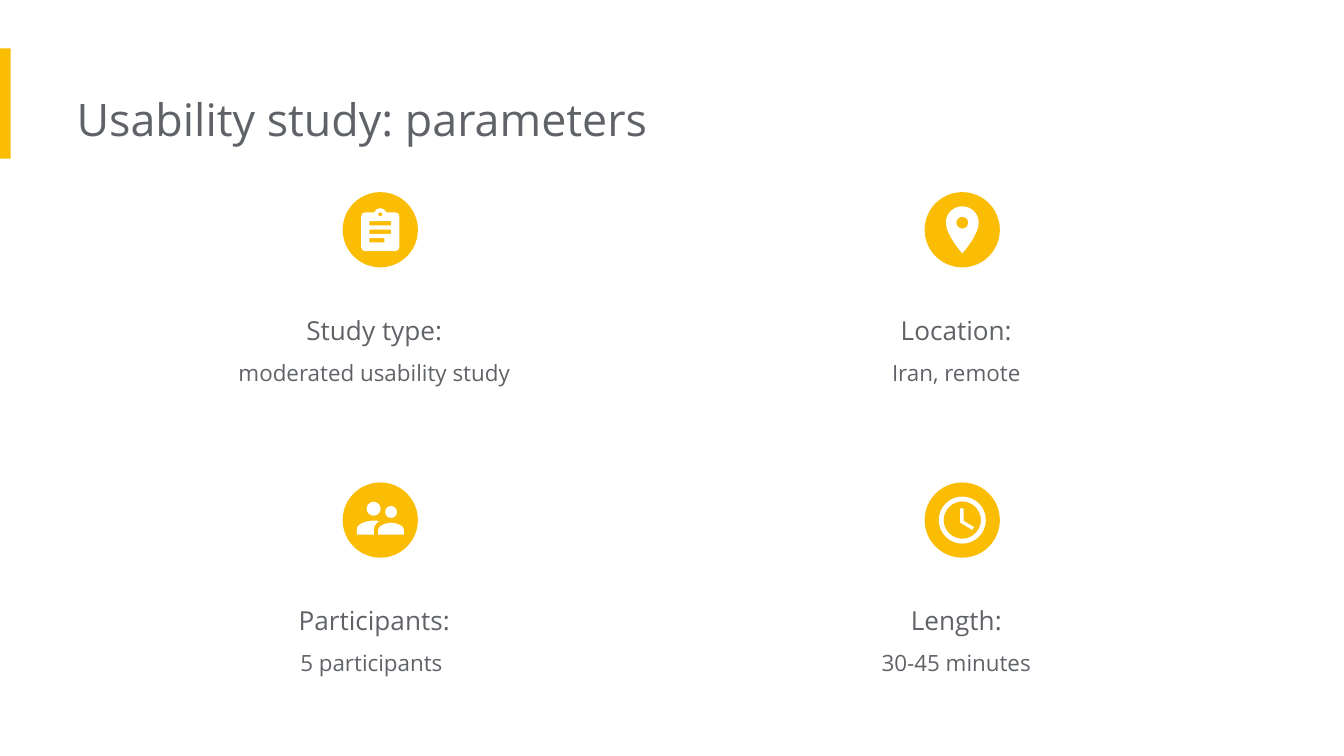
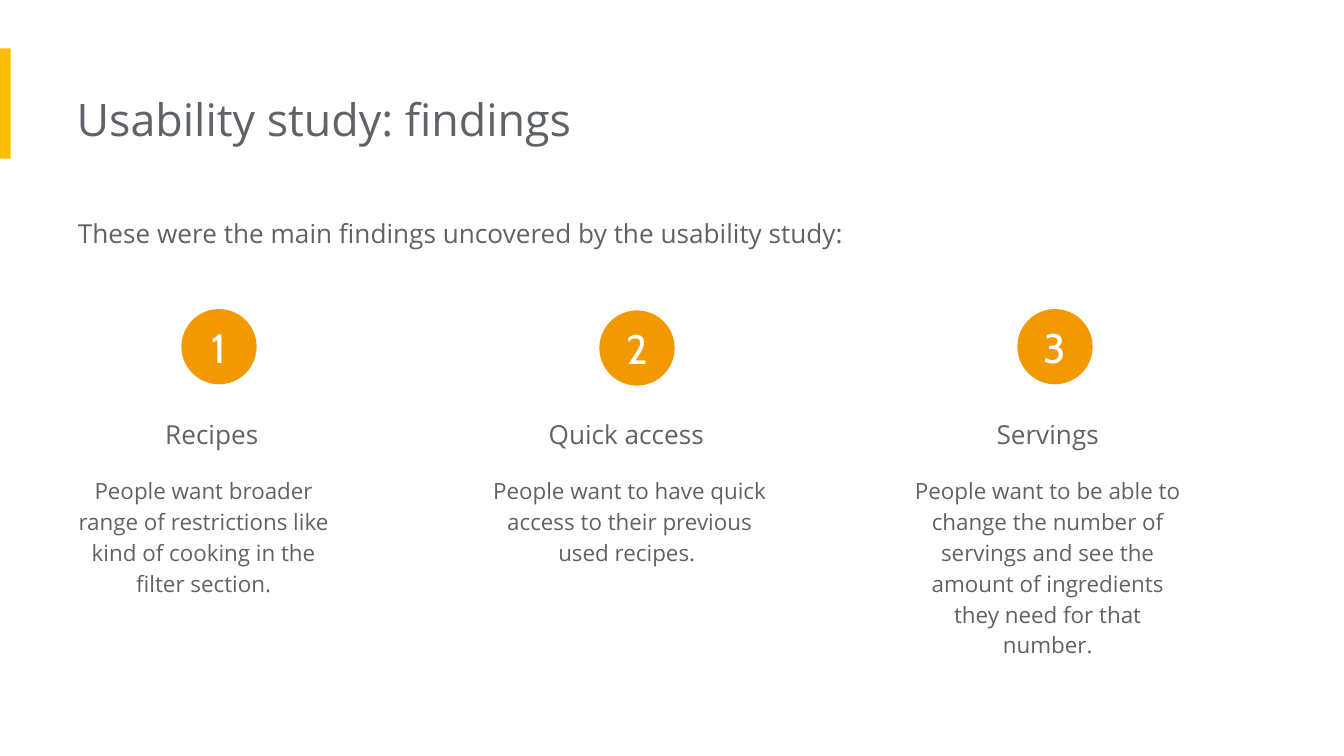
from lxml.etree import SubElement
from pptx import Presentation
from pptx.dml.color import RGBColor
from pptx.enum.shapes import MSO_SHAPE as Preset
from pptx.enum.text import MSO_ANCHOR as Anchor, MSO_AUTO_SIZE as AutoSize, PP_ALIGN as Align
from pptx.oxml.ns import qn
from pptx.util import Inches, Pt

COLORS = {"bar": "FBBC04", "number": "F29900", "ink": "5F6368", "paper": "FFFFFF"}
TEXT_FONT, NUMBER_FONT = "Open Sans", "Cabin"
WIDTH, HEIGHT = 10, 5.625
DISC = 0.56

PARAMETERS_TITLE = "Usability study: parameters"
PARAMETERS = [
    ("Study type:", "moderated usability study", "clipboard"),
    ("Location:", "Iran, remote", "pin"),
    ("Participants:", "5 participants ", "people"),
    ("Length:", "30-45 minutes", "clock"),
]
FINDINGS_TITLE = "Usability study: findings"
FINDINGS_INTRO = "These were the main findings uncovered by the usability study:"
FINDINGS = [
    {"head": "Recipes", "body_shift": -0.11, "body_height": 1.13, "disc_top": 2.3,
     "body": "People want broader range of restrictions like kind of cooking in the filter section."},
    {"head": "Quick access ", "body_shift": -0.05, "body_height": 0.9, "disc_top": 2.31,
     "body": "People want to have quick access to their previous used recipes. "},
    {"head": "Servings", "body_shift": -0.05, "body_height": 1.6, "disc_top": 2.3,
     "body": "People want to be able to change the number of servings and see the "
             "amount of ingredients they need for that number."},
]


def circle(x, y, r):
    """Return a circle as a start point and four curves."""
    k = 0.55 * r
    return [(x, y - r),
            (x + k, y - r, x + r, y - k, x + r, y),
            (x + r, y + k, x + k, y + r, x, y + r),
            (x - k, y + r, x - r, y + k, x - r, y),
            (x - r, y - k, x - k, y - r, x, y - r)]


def block(left, top, right, bottom):
    """Return the corners of a rectangle."""
    return [(left, top), (right, top), (right, bottom), (left, bottom)]


ICONS = {
    "clipboard": [
        [(11.2, -13), (4.5, -13), (3.8, -15, 2, -16.1, 0, -16.1),
         (-2, -16.1, -3.8, -15, -4.5, -13), (-11.2, -13),
         (-12.9, -13, -14.3, -11.6, -14.3, -9.8), (-14.3, 12.7),
         (-14.3, 14.5, -12.9, 15.9, -11.2, 15.9), (11.2, 15.9),
         (12.9, 15.9, 14.3, 14.5, 14.3, 12.7), (14.3, -9.8),
         (14.3, -11.6, 12.9, -13, 11.2, -13)],
        circle(0, -11.5, 1.6),
        block(-8, -6.5, 8, -3.3), block(-8, -0.1, 8, 3), block(-8, 6.2, 3, 9.4),
    ],
    "pin": [
        [(0, -17.5), (-6.8, -17.5, -12.2, -12, -12.2, -5.3),
         (-12.2, 3.9, 0, 17.5, 0, 17.5), (0, 17.5, 12.2, 3.9, 12.2, -5.3),
         (12.2, -12, 6.8, -17.5, 0, -17.5)],
        circle(0, -5.3, 4.4),
    ],
    "people": [
        circle(8, -6, 4.4),
        circle(-5, -8.4, 5.2),
        [(8, 2), (4.8, 2, -1.6, 3.8, -1.6, 7.1), (-1.6, 10.8), (17.5, 10.8),
         (17.5, 7.1), (17.5, 3.8, 11.2, 2, 8, 2)],
        [(-5, 0.4), (-9.2, 0.4, -17.5, 2.5, -17.5, 6.6), (-17.5, 10.8), (-4.8, 10.8),
         (-4.8, 7.1), (-4.8, 5.5, -4.2, 2.8, -0.8, 0.8), (-2.3, 0.5, -3.8, 0.4, -5, 0.4)],
    ],
    "clock": [
        circle(0, 0, 17.5),
        circle(0, 0, 13.9),
        [(-1.7, -8.7), (-1.7, 1.8), (7.4, 7.3), (8.7, 5.2), (0.9, 0.5), (0.9, -8.7)],
    ],
}


def paint(shape, color):
    """Fill a shape with a flat colour, without outline or shadow."""
    shape.shadow.inherit = False
    shape.fill.solid()
    shape.fill.fore_color.rgb = RGBColor.from_string(COLORS[color])
    shape.line.fill.background()


def add_preset(slide, preset, box, color):
    """Add a flat preset shape."""
    shape = slide.shapes.add_shape(preset, *map(Inches, box))
    paint(shape, color)
    return shape


def style(paragraph, size, font=TEXT_FONT, color="ink"):
    """Set the font of a paragraph."""
    paragraph.font.size = Pt(size)
    paragraph.font.name = font
    paragraph.font.color.rgb = RGBColor.from_string(COLORS[color])


def add_text(slide, box, lines, spacing=1.0, align=Align.LEFT):
    """Add a text box of (text, size) lines."""
    frame = slide.shapes.add_textbox(*map(Inches, box)).text_frame
    frame.word_wrap = True
    frame.auto_size = AutoSize.SHAPE_TO_FIT_TEXT
    frame.margin_left = 0
    frame.margin_top = frame.margin_right = frame.margin_bottom = Inches(0.1)
    for i, (text, size) in enumerate(lines):
        paragraph = frame.add_paragraph() if i else frame.paragraphs[0]
        paragraph.text = text
        paragraph.alignment = align
        paragraph.line_spacing = spacing
        style(paragraph, size)


def bend(shape, outlines):
    """Merge the three lines of each six-number step into one cubic curve."""
    lines = iter(list(shape._element.iter(qn("a:lnTo"))))
    for step in (step for outline in outlines for step in outline[1:]):
        pieces = [next(lines) for _ in range(len(step) // 2)]
        if len(pieces) == 3:
            parent = pieces[0].getparent()
            cubic = SubElement(parent, qn("a:cubicBezTo"))
            pieces[0].addprevious(cubic)
            for piece in pieces:
                cubic.append(piece[0])
                parent.remove(piece)


def add_icon(slide, name, x, y):
    """Draw an icon centred on a point, from outlines in hundredths of an inch."""
    def place(step):
        return [(Inches(x + px / 100), Inches(y + py / 100))
                for px, py in zip(step[::2], step[1::2])]

    outlines = ICONS[name]
    builder = slide.shapes.build_freeform(*place(outlines[0][0])[0], scale=1.0)
    for i, outline in enumerate(outlines):
        if i:
            builder.move_to(*place(outline[0])[0])
        builder.add_line_segments([p for step in outline[1:] for p in place(step)], close=True)
    icon = builder.convert_to_shape()
    bend(icon, outlines)
    paint(icon, "paper")


def add_titled_slide(deck, title):
    """Add a blank slide with the side bar and title."""
    slide = deck.slides.add_slide(deck.slide_layouts[6])
    add_preset(slide, Preset.RECTANGLE, (0, 0.36, 0.08, 0.82), "bar")
    add_text(slide, (0.57, 0.58, 6.73, 0.61), [(title, 24)])
    return slide


def build_parameters(deck):
    """Lay the study parameters out on a two by two grid."""
    slide = add_titled_slide(deck, PARAMETERS_TITLE)
    for i, (label, value, icon) in enumerate(PARAMETERS):
        row, column = divmod(i, 2)
        x, y = 4.33 * column, 2.16 * row
        add_text(slide, (0.95 + x, 2.12 + y, 3.77, 0.86), [(label, 14), (value, 12)],
                 1.5, Align.CENTER)
        add_preset(slide, Preset.OVAL, (2.55 + x, 1.43 + y, DISC, DISC), "bar")
        add_icon(slide, icon, 2.55 + x + DISC / 2, 1.43 + y + DISC / 2)


def build_findings(deck):
    """Lay the numbered findings out in three columns."""
    slide = add_titled_slide(deck, FINDINGS_TITLE)
    add_text(slide, (0.58, 1.48, 7.1, 0.47), [(FINDINGS_INTRO, 14)], 1.15)
    for i, finding in enumerate(FINDINGS):
        left = 0.6 + 3.11 * i
        add_text(slide, (left, 2.9, 2.05, 0.56), [(finding["head"], 14)], 1.5, Align.CENTER)
        add_text(slide, (left + finding["body_shift"], 3.42, 2.15, finding["body_height"]),
                 [(finding["body"], 12)], 1.15, Align.CENTER)
        disc = add_preset(slide, Preset.OVAL,
                          (left + 0.75, finding["disc_top"], DISC, DISC), "number")
        frame = disc.text_frame
        frame.margin_left = frame.margin_top = frame.margin_right = frame.margin_bottom = 0
        frame.vertical_anchor = Anchor.MIDDLE
        number = frame.paragraphs[0]
        number.text = str(i + 1)
        number.alignment = Align.CENTER
        style(number, 22, NUMBER_FONT, "paper")


def main():
    """Build and save the deck."""
    deck = Presentation()
    deck.slide_width, deck.slide_height = Inches(WIDTH), Inches(HEIGHT)
    build_parameters(deck)
    build_findings(deck)
    deck.save("out.pptx")


if __name__ == "__main__":
    main()
